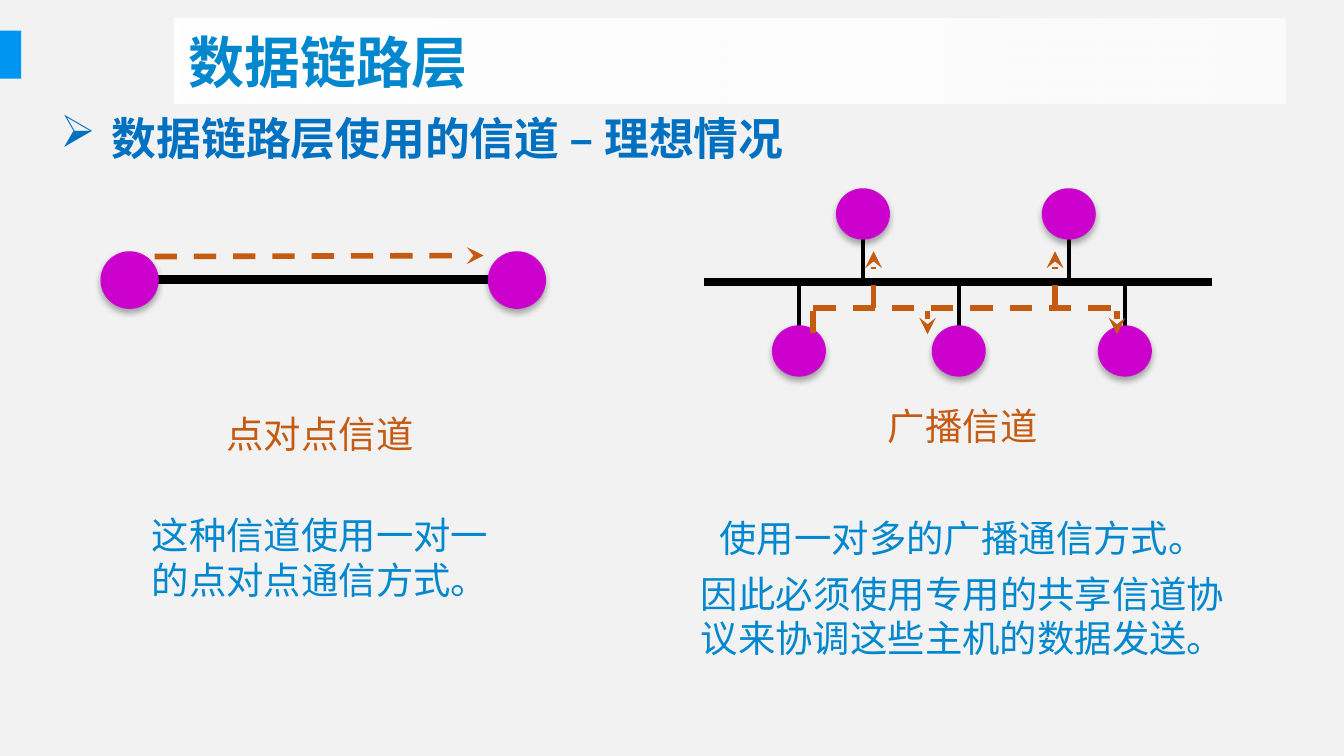
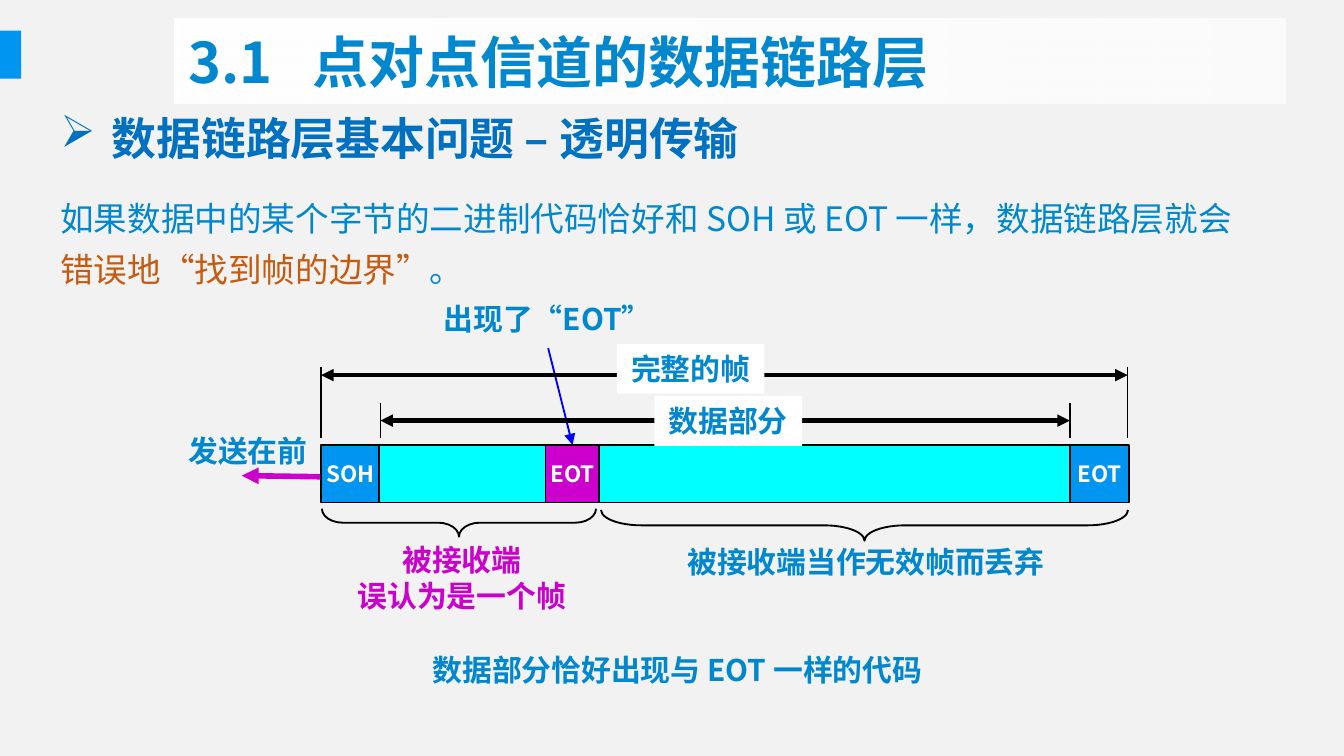
import pptx
import pptx.dml.color
import pptx.enum.dml
import pptx.enum.shapes
import pptx.enum.text
import pptx.oxml
import pptx.oxml.ns
import pptx.util
from lxml import etree

Cm = pptx.util.Cm
Pt = pptx.util.Pt
RGBColor = pptx.dml.color.RGBColor
SHAPE = pptx.enum.shapes.MSO_SHAPE
ALIGN = pptx.enum.text.PP_ALIGN
ANCHOR = pptx.enum.text.MSO_ANCHOR
qn = pptx.oxml.ns.qn

PAPER = RGBColor(0xF2, 0xF2, 0xF2)
WHITE = RGBColor(0xFF, 0xFF, 0xFF)
BLACK = RGBColor(0x00, 0x00, 0x00)
ACCENT = RGBColor(0x00, 0x95, 0xF0)
TEXT_BLUE = RGBColor(0x00, 0x87, 0xCD)
HEADING_BLUE = RGBColor(0x00, 0x70, 0xC0)
POINTER_BLUE = RGBColor(0x00, 0x00, 0xFF)
CYAN = RGBColor(0x00, 0xFF, 0xFF)
MAGENTA = RGBColor(0xCC, 0x00, 0xCC)
ORANGE = RGBColor(0xC5, 0x5A, 0x11)

CJK_FONT = "Noto Sans CJK SC"
LATIN_FONT = "Calibri"
NODE_WIDTH, NODE_HEIGHT = 1.02, 0.97
FIELD_TOP, FIELD_HEIGHT = 8.41, 1.09
LABEL_HEIGHT = 0.94


def add_child(parent, tag, **attributes):
    child = etree.SubElement(parent, qn(tag))
    for key, value in attributes.items():
        child.set(key, str(value))
    return child


def style_paragraph(paragraph, size, color, bold=False, name=CJK_FONT):
    font = paragraph.font
    font.size = Pt(size)
    font.bold = bold
    font.color.rgb = color
    font.name = name
    defaults = paragraph._p.pPr.find(qn("a:defRPr"))
    add_child(defaults, "a:ea", typeface=CJK_FONT)


def add_text(slide, box, lines, size, bold=False, align=ALIGN.CENTER,
             wrap=True, fill=None, spacing=1.2):
    text_box = slide.shapes.add_textbox(*map(Cm, box))
    if fill is not None:
        text_box.fill.solid()
        text_box.fill.fore_color.rgb = fill
    frame = text_box.text_frame
    frame.word_wrap = wrap
    frame.auto_size = pptx.enum.text.MSO_AUTO_SIZE.SHAPE_TO_FIT_TEXT
    for index, (text, color, space_before) in enumerate(lines):
        paragraph = frame.add_paragraph() if index else frame.paragraphs[0]
        paragraph.text = text
        paragraph.alignment = align
        paragraph.line_spacing = Pt(size * spacing)
        if space_before:
            paragraph.space_before = Pt(space_before)
        style_paragraph(paragraph, size, color, bold)
    return frame


def add_label(slide, left, top, width, *lines, color=TEXT_BLUE, fill=None):
    return add_text(slide, (left, top, width, LABEL_HEIGHT * len(lines)),
                    [(line, color, 0) for line in lines],
                    16, bold=True, wrap=False, fill=fill)


def add_block(slide, kind, box, fill=None, line=None):
    block = slide.shapes.add_shape(kind, *map(Cm, box))
    block.shadow.inherit = False
    if fill is None:
        block.fill.background()
    else:
        block.fill.solid()
        block.fill.fore_color.rgb = fill
    if line is None:
        block.line.fill.background()
    else:
        block.line.color.rgb = line
        block.line.width = Pt(1)
    return block


def add_line(slide, start, end, color, width, dashed=False, head=None, tail=None):
    line = slide.shapes.add_connector(
        pptx.enum.shapes.MSO_CONNECTOR.STRAIGHT, *map(Cm, start + end))
    line.line.color.rgb = color
    line.line.width = Pt(width)
    if dashed:
        line.line.dash_style = pptx.enum.dml.MSO_LINE.DASH
    outline = line.line._get_or_add_ln()
    for tag, arrow in (("a:headEnd", head), ("a:tailEnd", tail)):
        if arrow:
            add_child(outline, tag, type=arrow)
    add_child(line._element.spPr, "a:effectLst")
    return line


def add_node(slide, left, top, width=NODE_WIDTH, height=NODE_HEIGHT):
    node = add_block(slide, SHAPE.OVAL, (left, top, width, height), MAGENTA)
    effects = node._element.spPr.find(qn("a:effectLst"))
    shadow = add_child(effects, "a:outerShdw", blurRad=Pt(3.5), dist=Pt(2.2),
                       dir=5400000, rotWithShape=0)
    shade = add_child(shadow, "a:srgbClr", val=BLACK)
    add_child(shade, "a:alpha", val=32000)


def add_field(slide, left, width, fill, text=""):
    field = add_block(slide, SHAPE.RECTANGLE,
                      (left, FIELD_TOP, width, FIELD_HEIGHT), fill, BLACK)
    if text:
        frame = field.text_frame
        frame.word_wrap = False
        frame.vertical_anchor = ANCHOR.MIDDLE
        paragraph = frame.paragraphs[0]
        paragraph.text = text
        paragraph.alignment = ALIGN.CENTER
        style_paragraph(paragraph, 12, WHITE, bold=True)
    return field


def add_brace(slide, box, curl):
    brace = add_block(slide, SHAPE.LEFT_BRACE, box, line=BLACK)
    brace.rotation = 270
    brace.adjustments[0] = curl


def add_dimension(slide, left, right, y, tick_top, label, label_left, label_top):
    add_line(slide, (left, y), (right, y), BLACK, 2.25,
             head="triangle", tail="triangle")
    add_label(slide, label_left, label_top, 2.79, label, fill=WHITE)
    for x in (left, right):
        add_line(slide, (x, tick_top), (x, 8.28), BLACK, 0.75)


def format_title(title, text):
    title.left, title.top, title.width, title.height = map(Cm, (3.3, 0.36, 21, 1.6))
    title.fill.gradient()
    title.fill.gradient_angle = 0
    for stop, position in zip(title.fill.gradient_stops, (0, 1)):
        stop.color.rgb = WHITE
        stop.position = position
    end_color = title._element.spPr.findall(".//" + qn("a:srgbClr"))[-1]
    add_child(end_color, "a:alpha", val=67000)
    title.text_frame.vertical_anchor = ANCHOR.MIDDLE
    paragraph = title.text_frame.paragraphs[0]
    paragraph.text = text
    paragraph.alignment = ALIGN.LEFT
    tabs = add_child(paragraph._p.get_or_add_pPr(), "a:tabLst")
    add_child(tabs, "a:tab", pos=Cm(2.35), algn="l")
    style_paragraph(paragraph, 30, TEXT_BLUE, bold=True)


def add_heading(slide, text):
    box = slide.shapes.add_textbox(*map(Cm, (0.89, 1.96, 23.39, 1.27)))
    box.text_frame.word_wrap = True
    paragraph = box.text_frame.paragraphs[0]
    paragraph.text = text
    properties = paragraph._p.get_or_add_pPr()
    properties.set("marL", str(Cm(0.97)))
    properties.set("indent", str(Cm(-0.97)))
    add_child(properties, "a:buChar", char="➢")
    paragraph.line_spacing = Pt(28.8)
    style_paragraph(paragraph, 24, HEADING_BLUE, bold=True, name=LATIN_FONT)


def add_topic_slide(deck, title, heading):
    slide = deck.slides.add_slide(deck.slide_layouts[5])
    add_block(slide, SHAPE.RECTANGLE, (-0.03, 0.58, 0.43, 0.91), ACCENT)
    format_title(slide.shapes.title, title)
    add_heading(slide, heading)
    return slide


def draw_point_to_point(slide):
    add_line(slide, (2.41, 5.28), (9.8, 5.28), BLACK, 4.5)
    for left in (1.9, 9.22):
        add_node(slide, left, 4.75, 1.1, 1.09)
    add_line(slide, (2.92, 4.85), (9.14, 4.83), ORANGE, 3, True, tail="stealth")
    add_text(slide, (2.29, 7.65, 7.52, 3.89), [
        ("点对点信道", ORANGE, 0),
        ("这种信道使用一对一的点对点通信方式。", TEXT_BLUE, 30),
    ], 20)


def draw_broadcast(slide):
    add_line(slide, (13.31, 5.33), (22.91, 5.33), BLACK, 4.5)
    upper = [(x, 4.37, 5.36, 3.56) for x in (16.31, 20.2)]
    lower = [(x, 5.36, 6.32, 6.15) for x in (15.1, 18.12, 21.26)]
    for x, stub_top, stub_bottom, node_top in upper + lower:
        add_line(slide, (x, stub_top), (x, stub_bottom), BLACK, 2.25)
        add_node(slide, x - NODE_WIDTH / 2, node_top)
    add_text(slide, (12.9, 7.49, 10.59, 5.18), [
        ("广播信道", ORANGE, 0),
        ("使用一对多的广播通信方式。", TEXT_BLUE, 36),
        ("因此必须使用专用的共享信道协议来协调这些主机的数据发送。", TEXT_BLUE, 6),
    ], 20)
    add_line(slide, (15.37, 5.82), (21.08, 5.82), ORANGE, 3, True)
    for x in (16.51, 19.94):
        add_line(slide, (x, 5.82), (x, 4.75), ORANGE, 3, True, tail="stealth")
    for x, tail in ((17.53, "stealth"), (21.11, "stealth"), (15.37, None)):
        add_line(slide, (x, 5.87), (x, 6.32), ORANGE, 3, True, tail=tail)


def add_explanation(slide):
    frame = add_text(slide, (0.89, 3.43, 23.39, 2.18), [("", TEXT_BLUE, 0)],
                     18, align=ALIGN.LEFT, spacing=1.5)
    paragraph = frame.paragraphs[0]
    paragraph.add_run().text = (
        "如果数据中的某个字节的二进制代码恰好和 SOH 或 EOT 一样，数据链路层就会")
    paragraph.add_line_break()
    mistake = paragraph.add_run()
    mistake.text = "错误地“找到帧的边界”"
    mistake.font.color.rgb = ORANGE
    paragraph.add_run().text = "。"


def draw_frame(slide):
    add_line(slide, (6.63, 9.02), (4.57, 8.99), MAGENTA, 3, tail="triangle")
    add_field(slide, 6.07, 1.12, ACCENT, "SOH")
    add_field(slide, 7.16, 13.36, CYAN)
    false_end = add_field(slide, 10.31, 1.02, MAGENTA, "EOT")
    add_field(slide, 20.22, 1.12, ACCENT, "EOT")
    pointer = add_line(slide, (10.36, 6.58), (10.82, FIELD_TOP), POINTER_BLUE, 1,
                       tail="triangle")
    pointer.end_connect(false_end, 0)
    add_label(slide, 8.1, 5.56, 4.5, "出现了“EOT”")
    add_brace(slide, (16.05, 4.95, 0.58, 9.96), 1.32)
    add_label(slide, 12.7, 10.16, 7.34, "被接收端当作无效帧而丢弃")
    add_brace(slide, (8.41, 7.29, 0.53, 5.18), 0.74)
    add_label(slide, 6.48, 10.11, 4.5, "被接收端", "误认为是一个帧", color=MAGENTA)
    add_dimension(slide, 7.19, 20.22, 7.95, 7.62, "数据部分", 12.37, 7.49)
    add_dimension(slide, 6.07, 21.31, 7.09, 6.93, "完整的帧", 11.66, 6.5)
    add_label(slide, 3.3, 8.05, 2.77, "发送在前")


def main():
    deck = pptx.Presentation()
    deck.slide_width, deck.slide_height = Cm(25.4), Cm(14.29)
    background = deck.slide_master.background.fill
    background.solid()
    background.fore_color.rgb = PAPER

    channels = add_topic_slide(deck, "数据链路层", "数据链路层使用的信道 – 理想情况")
    draw_point_to_point(channels)
    draw_broadcast(channels)

    transparency = add_topic_slide(deck, "3.1\t点对点信道的数据链路层",
                                   "数据链路层基本问题 – 透明传输")
    add_explanation(transparency)
    draw_frame(transparency)
    add_label(transparency, 7.7, 12.19, 10.21, "数据部分恰好出现与 EOT 一样的代码")

    deck.save("out.pptx")


if __name__ == "__main__":
    main()
